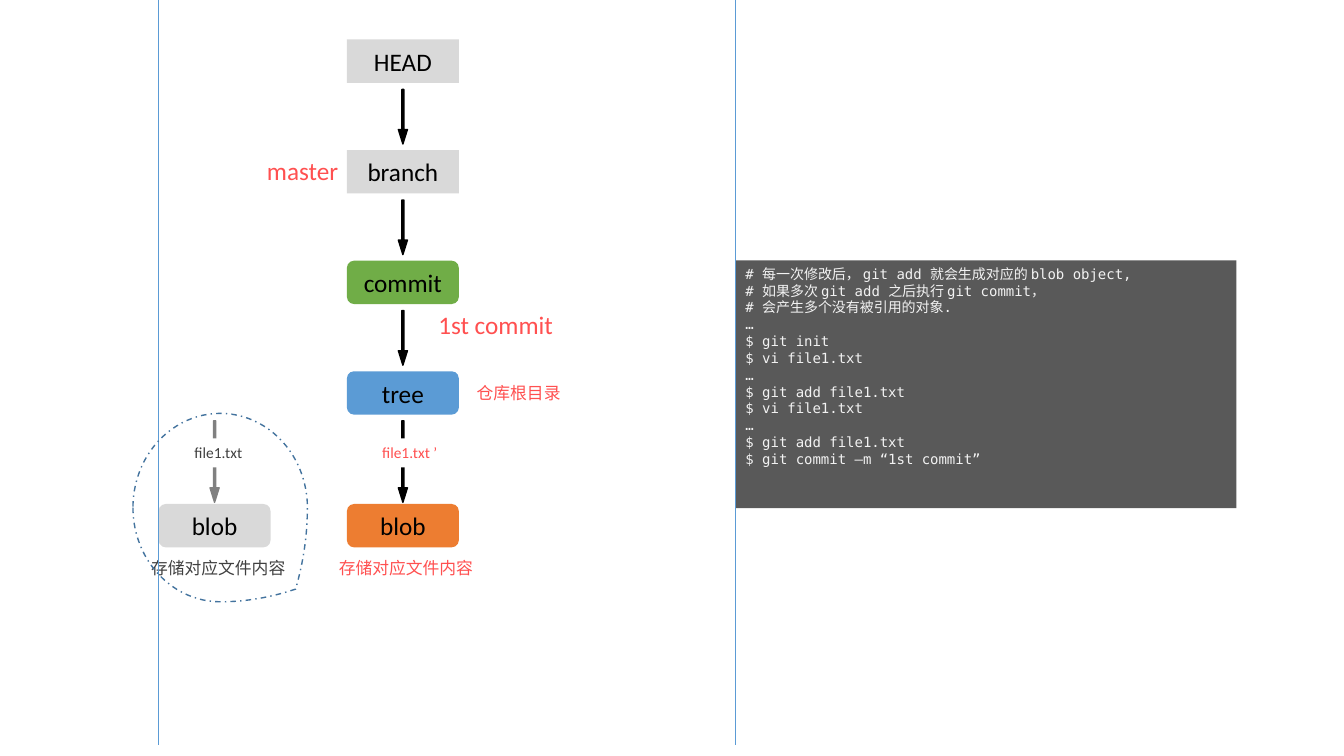
"""Build a slide showing the objects behind a first Git commit."""
import dataclasses

import pptx
import pptx.dml.color
import pptx.enum.dml
import pptx.enum.shapes
import pptx.enum.text
import pptx.util
from lxml import etree

Pt = pptx.util.Pt
MSO = pptx.enum.shapes.MSO_SHAPE
ALIGN = pptx.enum.text.PP_ALIGN
ANCHOR = pptx.enum.text.MSO_ANCHOR


@dataclasses.dataclass(frozen=True)
class Theme:
    font: str = "Calibri"
    mono: str = "DejaVu Sans Mono"
    node_size: float = 18
    note_size: float = 12
    file_size: float = 11
    code_size: float = 10
    black: str = "000000"
    white: str = "FFFFFF"
    red: str = "FF5050"
    dark: str = "404040"
    gray: str = "D9D9D9"
    mid_gray: str = "808080"
    green: str = "70AD47"
    blue: str = "5B9BD5"
    orange: str = "ED7D31"
    panel: str = "595959"
    code: str = "F2F2F2"
    outline: str = "43739E"


def rgb(value):
    return pptx.dml.color.RGBColor.from_string(value)


def write(tf, text, *, size, color, font, align=ALIGN.LEFT,
          anchor=ANCHOR.TOP, wrap=True):
    tf.word_wrap = wrap
    tf.vertical_anchor = anchor
    for i, line in enumerate(text.split("\n")):
        p = tf.add_paragraph() if i else tf.paragraphs[0]
        p.alignment = align
        r = p.add_run()
        r.text = line
        r.font.size = Pt(size)
        r.font.name = font
        r.font.color.rgb = rgb(color)


class Deck:
    NODE_W, NODE_H = 80, 31
    ARROW_W = 6.5

    def __init__(self, slide, theme):
        self.s = slide
        self.t = theme

    def shape(self, kind, x, y, w, h, fill=None, line=None):
        sp = self.s.shapes.add_shape(kind, Pt(x), Pt(y), Pt(w), Pt(h))
        sp.shadow.inherit = False
        if fill:
            sp.fill.solid()
            sp.fill.fore_color.rgb = rgb(fill)
        else:
            sp.fill.background()
        if line:
            sp.line.color.rgb = rgb(line)
            sp.line.width = Pt(1)
        else:
            sp.line.fill.background()
        return sp

    def node(self, text, x, y, fill, kind=MSO.ROUNDED_RECTANGLE):
        sp = self.shape(kind, x, y, self.NODE_W, self.NODE_H, fill)
        write(sp.text_frame, text, size=self.t.node_size, color=self.t.black,
              font=self.t.font, align=ALIGN.CENTER, anchor=ANCHOR.MIDDLE)

    def arrow(self, node_x, y, h, color):
        x = node_x + (self.NODE_W - self.ARROW_W) / 2
        sp = self.shape(MSO.DOWN_ARROW, x, y, self.ARROW_W, h, color, color)
        sp.adjustments[0] = 0.24
        sp.adjustments[1] = 1.596

    def label(self, text, x, y, w, h, size, color):
        sp = self.s.shapes.add_textbox(Pt(x), Pt(y), Pt(w), Pt(h))
        write(sp.text_frame, text, size=size, color=color,
              font=self.t.font, wrap=False)
        sp.text_frame.auto_size = pptx.enum.text.MSO_AUTO_SIZE.SHAPE_TO_FIT_TEXT

    def file_name(self, text, x, y, w, color):
        sp = self.shape(MSO.RECTANGLE, x, y, w, 20.6, self.t.white)
        write(sp.text_frame, text, size=self.t.file_size, color=color,
              font=self.t.font)

    def code(self, text, x, y, w, h):
        sp = self.shape(MSO.RECTANGLE, x, y, w, h, self.t.panel)
        write(sp.text_frame, text, size=self.t.code_size, color=self.t.code,
              font=self.t.mono)

    def guide(self, x, bottom):
        c = self.s.shapes.add_connector(
            pptx.enum.shapes.MSO_CONNECTOR.STRAIGHT, Pt(x), 0, Pt(x), Pt(bottom))
        c.line.color.rgb = rgb(self.t.blue)
        c.line.width = Pt(0.5)
        etree.SubElement(c._element.spPr, pptx.oxml.ns.qn("a:effectLst"))

    def teardrop(self, x, y, w, h):
        sp = self.shape(MSO.TEAR, x, y, w, h, line=self.t.outline)
        sp.adjustments[0] = 0.865
        sp.line.dash_style = pptx.enum.dml.MSO_LINE.DASH_DOT
        sp._element.spPr.get_or_add_xfrm().set("flipV", "1")


COMMANDS = """# 每一次修改后， git add 就会生成对应的 blob object,
# 如果多次 git add 之后执行 git commit，
# 会产生多个没有被引用的对象.
…
$ git init
$ vi file1.txt
…
$ git add file1.txt
$ vi file1.txt
…
$ git add file1.txt
$ git commit –m “1st commit”"""


def main():
    prs = pptx.Presentation()
    prs.slide_width, prs.slide_height = Pt(960), Pt(540)
    t = Theme()
    d = Deck(prs.slides.add_slide(prs.slide_layouts[6]), t)

    old_x, main_x = 113.3, 247.8
    top, step, blob_y = 28.2, 79, 360
    chain = [("HEAD", t.gray, MSO.RECTANGLE),
             ("branch", t.gray, MSO.RECTANGLE),
             ("commit", t.green, MSO.ROUNDED_RECTANGLE),
             ("tree", t.blue, MSO.ROUNDED_RECTANGLE)]
    for i, (text, fill, kind) in enumerate(chain):
        y = top + i * step
        d.node(text, main_x, y, fill, kind)
        if i < len(chain) - 1:
            d.arrow(main_x, y + 35.7, 39, t.black)

    blobs = [(old_x, t.gray, t.mid_gray, t.dark, "file1.txt", 131.8, 49.7, 100.8),
             (main_x, t.orange, t.black, t.red, "file1.txt ’", 265.9, 61.9, 234.9)]
    for x, fill, arrow, color, name, name_x, name_w, note_x in blobs:
        d.node("blob", x, blob_y, fill)
        d.arrow(x, 300.5, 58.3, arrow)
        d.file_name(name, name_x, 313.2, name_w, color)
        d.label("存储对应文件内容", note_x, 394.6, 111.6, 21.8, t.note_size, color)

    d.label("master", 183.6, 107.2, 65.5, 29, t.node_size, t.red)
    d.label("1st commit", 306, 217.5, 96.5, 29, t.node_size, t.red)
    d.label("仓库根目录", 333.4, 270, 74.9, 21.8, t.note_size, t.red)
    d.code(COMMANDS, 525.4, 186, 357.8, 177)
    for x in (old_x, 525):
        d.guide(x, 532)
    d.teardrop(95, 295.3, 124.6, 134.6)
    prs.save("out.pptx")


if __name__ == "__main__":
    main()
